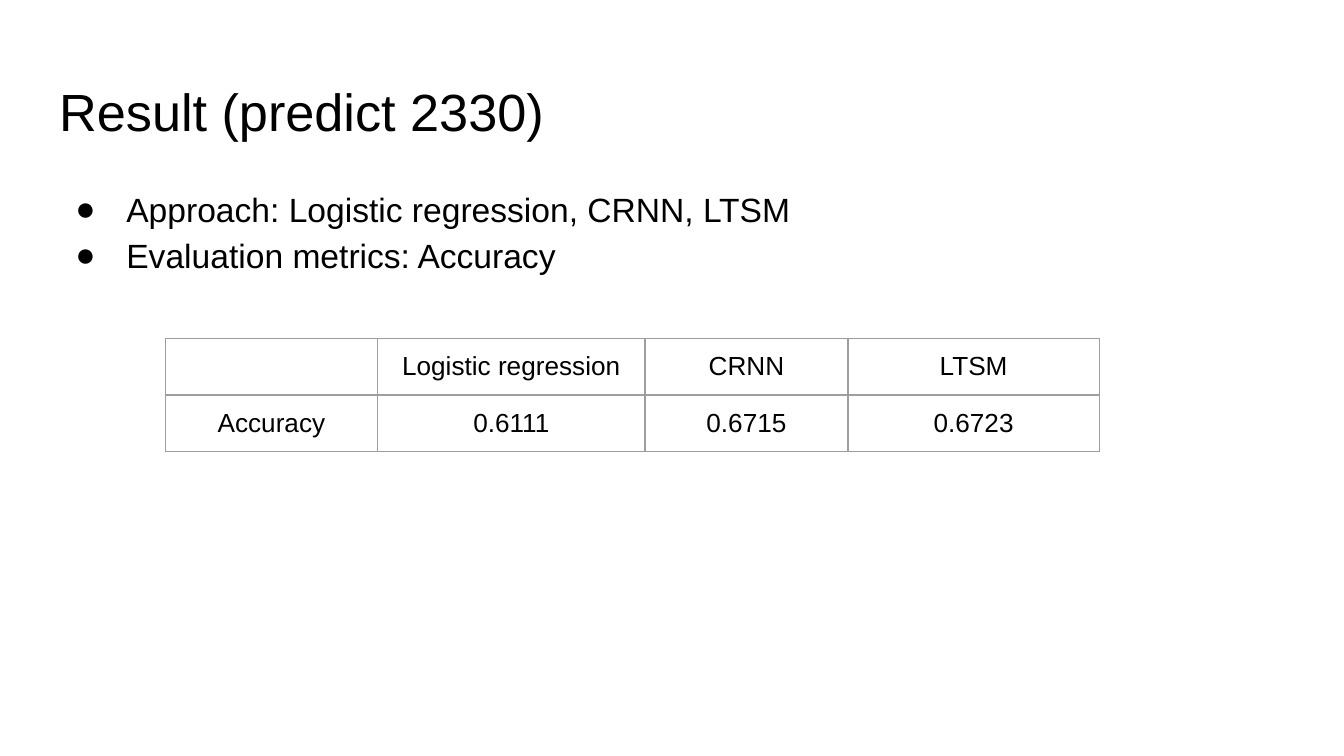
from lxml.etree import SubElement
from pptx import Presentation
from pptx.dml.color import RGBColor
from pptx.enum.text import MSO_ANCHOR, MSO_AUTO_SIZE, PP_ALIGN
from pptx.oxml.ns import qn
from pptx.util import Inches, Pt

W = 10
H = W * 9 / 16
INK, GRID = "000000", "9E9E9E"
INSETS = {f"margin_{side}": Inches(0.1) for side in ("left", "right", "top", "bottom")}
BULLETS = ["Approach: Logistic regression, CRNN, LTSM", "Evaluation metrics: Accuracy"]
SCORES = [["", "Logistic regression", "CRNN", "LTSM"],
          ["Accuracy", "0.6111", "0.6715", "0.6723"]]
COL_WIDTHS = [1.58, 1.99, 1.51, 1.87]
ROW_HEIGHT = 0.42


def color(value):
    return RGBColor.from_string(value)


def apply(target, values):
    for name, value in values.items():
        setattr(target, name, value)


def add_run(p, text, size):
    r = p.add_run()
    r.text = text
    apply(r.font, {"name": "Arial", "size": Pt(size), "bold": False})
    r.font.color.rgb = color(INK)


def place(sp, box):
    """Position a placeholder and return its text frame."""
    apply(sp, dict(zip(("left", "top", "width", "height"), map(Inches, box))))
    tf = sp.text_frame
    apply(tf, {**INSETS, "word_wrap": True, "auto_size": MSO_AUTO_SIZE.NONE,
               "vertical_anchor": MSO_ANCHOR.TOP})
    return tf


def add_title(s, box, text):
    p = place(s.shapes.title, box).paragraphs[0]
    apply(p, {"alignment": PP_ALIGN.LEFT, "line_spacing": 1.0, "space_before": Pt(0)})
    add_run(p, text, 28)


def add_bullets(s, box, items):
    tf = place(s.placeholders[1], box)
    for i, item in enumerate(items):
        p = tf.paragraphs[0] if i == 0 else tf.add_paragraph()
        last = i == len(items) - 1
        apply(p, {"alignment": PP_ALIGN.LEFT, "line_spacing": 1.15,
                  "space_before": Pt(0), "space_after": Pt(16 if last else 0)})
        pPr = p._p.get_or_add_pPr()
        pPr.set("marL", str(Inches(0.5)))
        pPr.set("indent", str(Inches(-0.38)))
        bullet_color = SubElement(pPr, qn("a:buClr"))
        SubElement(bullet_color, qn("a:srgbClr"), val=INK)
        SubElement(pPr, qn("a:buFont"), typeface="Arial")
        SubElement(pPr, qn("a:buChar"), char="●")
        add_run(p, item, 18)


def format_cell(cell, text):
    apply(cell, {**INSETS, "vertical_anchor": MSO_ANCHOR.TOP})
    # Borders come before the fill in the cell properties
    tcPr = cell._tc.get_or_add_tcPr()
    for edge in ("lnL", "lnR", "lnT", "lnB"):
        ln = SubElement(tcPr, qn(f"a:{edge}"), w=str(Pt(0.75)))
        fill = SubElement(ln, qn("a:solidFill"))
        SubElement(fill, qn("a:srgbClr"), val=GRID)
    cell.fill.background()
    p = cell.text_frame.paragraphs[0]
    p.alignment = PP_ALIGN.CENTER
    if text:
        add_run(p, text, 14)
    else:
        # Keeps the empty cell from stretching its row
        end = SubElement(p._p, qn("a:endParaRPr"), sz="1400")
        SubElement(end, qn("a:latin"), typeface="Arial")


def add_scores(s, left, top, rows):
    box = (left, top, sum(COL_WIDTHS), ROW_HEIGHT * len(rows))
    table = s.shapes.add_table(len(rows), len(COL_WIDTHS), *map(Inches, box)).table
    apply(table, {"first_row": False, "horz_banding": False})
    for column, width in zip(table.columns, COL_WIDTHS):
        column.width = Inches(width)
    for row, texts in zip(table.rows, rows):
        row.height = Inches(ROW_HEIGHT)
        for cell, text in zip(row.cells, texts):
            format_cell(cell, text)


def main():
    prs = Presentation()
    apply(prs, {"slide_width": Inches(W), "slide_height": Inches(H)})
    s = prs.slides.add_slide(prs.slide_layouts[1])
    margin = 0.034 * W
    content = W - 2 * margin
    add_title(s, (margin, 0.49, content, 0.63), "Result (predict 2330)")
    add_bullets(s, (margin, 1.26, content, 3.74), BULLETS)
    add_scores(s, 1.23, 2.52, SCORES)
    prs.save("out.pptx")


if __name__ == "__main__":
    main()
